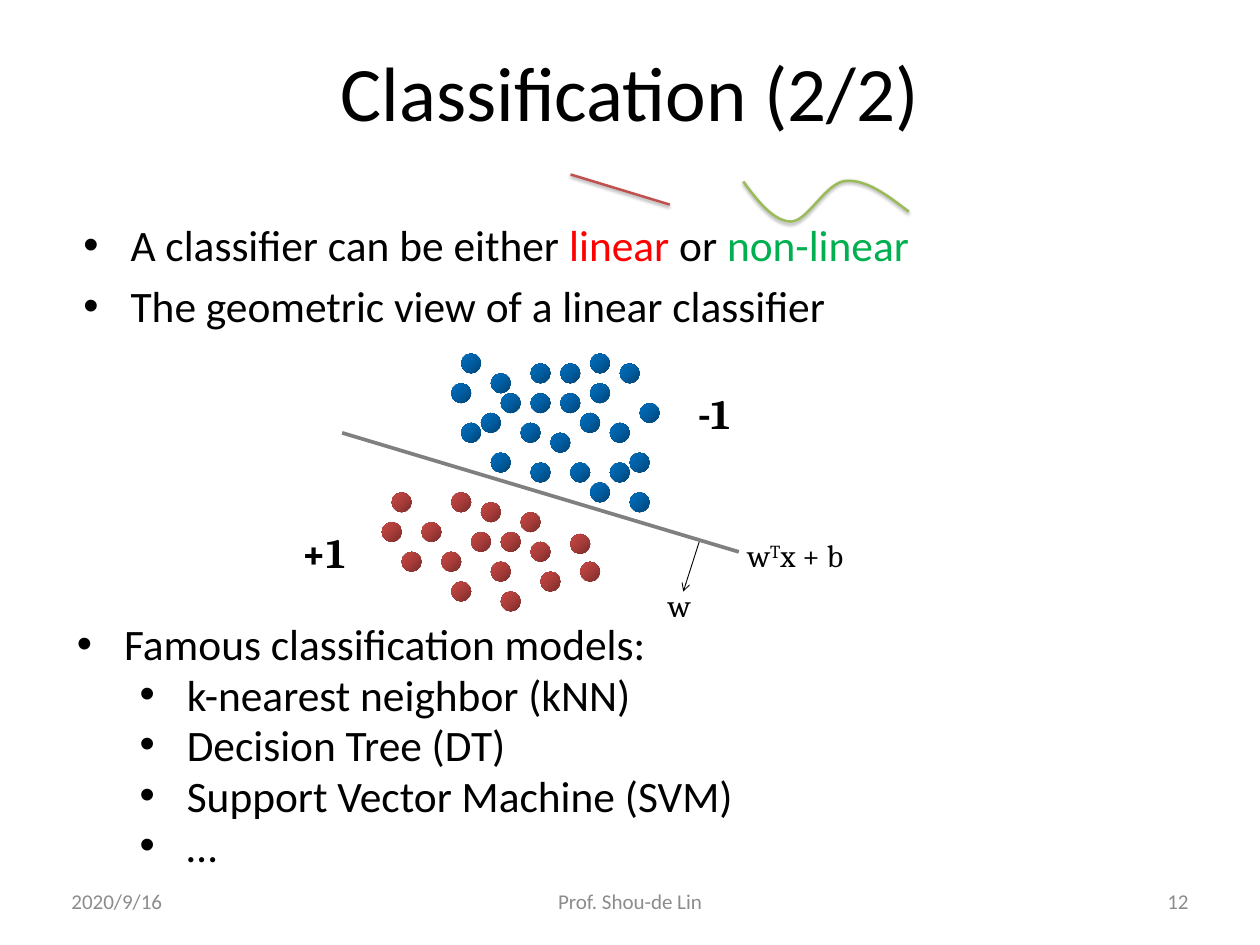
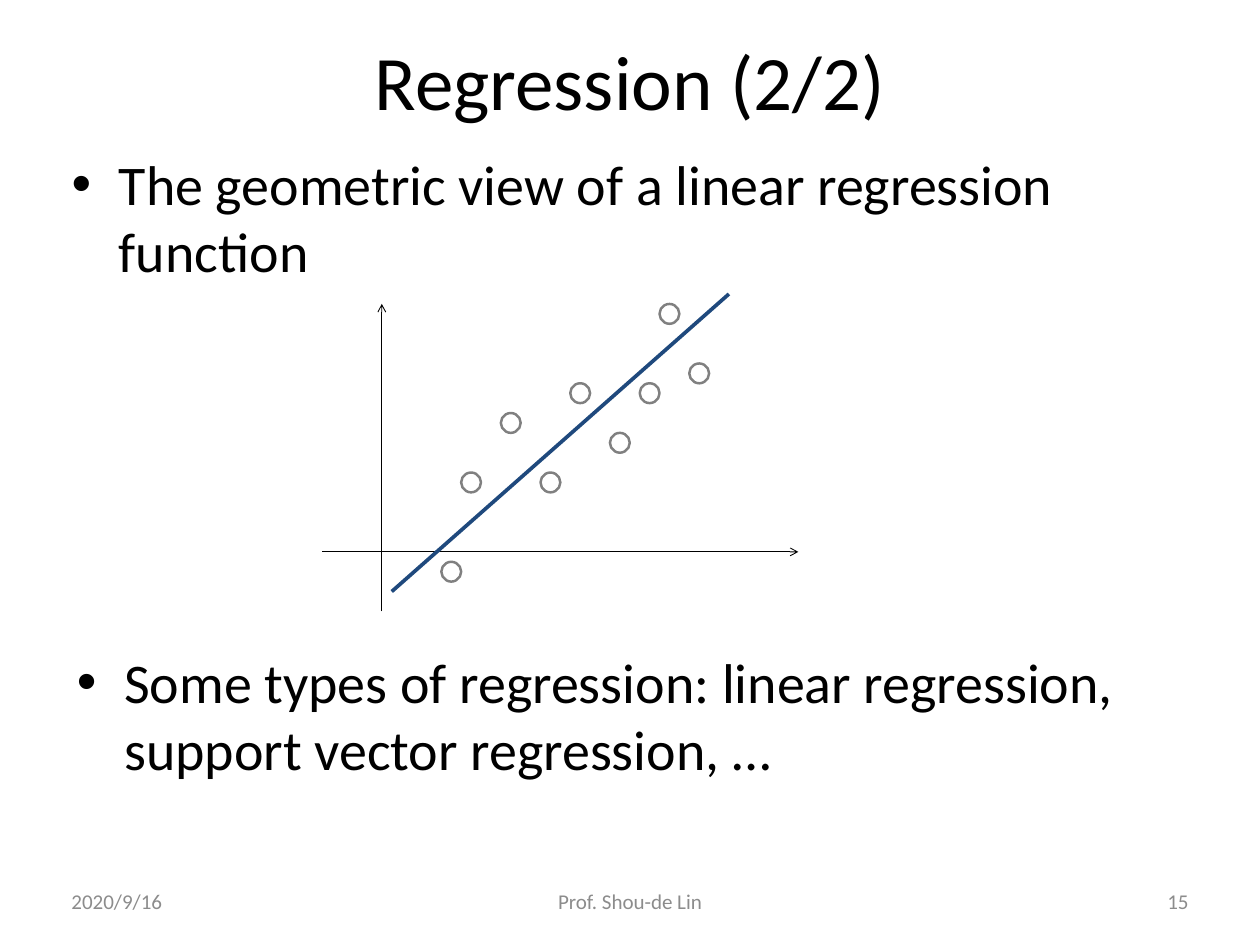
from lxml import etree
from copy import deepcopy
from pptx import Presentation
from pptx.dml.color import RGBColor
from pptx.enum.shapes import MSO_CONNECTOR, MSO_SHAPE
from pptx.enum.text import MSO_ANCHOR, MSO_AUTO_SIZE, PP_ALIGN
from pptx.oxml.ns import qn
from pptx.util import Pt

STRAIGHT, OVAL = MSO_CONNECTOR.STRAIGHT, MSO_SHAPE.OVAL
LEFT, CENTER, RIGHT = PP_ALIGN.LEFT, PP_ALIGN.CENTER, PP_ALIGN.RIGHT
TOP, MIDDLE = MSO_ANCHOR.TOP, MSO_ANCHOR.MIDDLE
NO_FIT = MSO_AUTO_SIZE.NONE

COLORS = {
    "text": "000000", "footer": "8C8C8C", "gray": "808080", "fit": "1F497D",
    "linear": "FF0000", "nonlinear": "00B050",
    "sample_line": "C0504D", "sample_curve": "9BBB59",
}
BLUE_DOT = ("004272", "005EA2", "0070C0")
RED_DOT = ("772B29", "A93D3A", "C94844")
SANS, SERIF = "Calibri", "Cambria"
TWO_CONTENT = 3
CELL = 8.06
PLOT = (310.3, 287.3)
INDENT, SUB_INDENT = 38.4, 89.3
TIGHT = 0.8

NEGATIVE = [
    (8, 0), (21, 0), (15, 1), (18, 1), (24, 1), (11, 2), (7, 3), (21, 3),
    (12, 4), (15, 4), (18, 4), (26, 5), (10, 6), (20, 6), (8, 7), (14, 7),
    (23, 7), (17, 8), (11, 10), (25, 10), (15, 11), (19, 11), (23, 11),
    (21, 13), (25, 14),
]
POSITIVE = [
    (1, 14), (7, 14), (10, 15), (14, 16), (0, 17), (4, 17), (9, 18), (12, 18),
    (19, 18.2), (15, 19), (2, 20), (6, 20), (11, 21), (20, 21), (16, 22),
    (7, 23), (12, 24),
]
SAMPLES = [
    (28, -5), (31, 1), (19, 3), (26, 3), (12, 6), (23, 8), (8, 12), (16, 12),
    (6, 21),
]


def color(name):
    return RGBColor.from_string(COLORS[name])


def style(font, size, name=SANS, ink="text", bold=False):
    font.size = Pt(size)
    font.name = name
    font.bold = bold
    font.color.rgb = color(ink)


def place(shape, box):
    shape.left, shape.top, shape.width, shape.height = map(Pt, box)


def set_effects(shape, shadow=False):
    effects = etree.SubElement(shape.element.spPr, qn("a:effectLst"))
    if shadow:
        outer = etree.SubElement(
            effects, qn("a:outerShdw"), blurRad=str(Pt(3.1)),
            dist=str(Pt(1.6)), dir="5400000", rotWithShape="0")
        black = etree.SubElement(outer, qn("a:srgbClr"), val=COLORS["text"])
        etree.SubElement(black, qn("a:alpha"), val="38000")


def add_line(page, start, end, ink, width, arrow=False, shadow=False):
    line = page.shapes.add_connector(STRAIGHT, *map(Pt, (*start, *end)))
    line.line.color.rgb = color(ink)
    line.line.width = Pt(width)
    if arrow:
        outline = line.element.spPr.find(qn("a:ln"))
        etree.SubElement(outline, qn("a:tailEnd"), type="arrow")
    set_effects(line, shadow)


def add_text(page, box, parts, size, name=SANS, ink="text", bold=False,
             align=LEFT, anchor=TOP):
    label = page.shapes.add_textbox(*map(Pt, box))
    frame = label.text_frame
    frame.word_wrap = True
    frame.vertical_anchor = anchor
    para = frame.paragraphs[0]
    para.alignment = align
    for part in parts:
        para.add_run().text = part
    style(para.font, size, name, ink, bold)
    return label


def add_title(page, text, box):
    title = page.shapes.title
    place(title, box)
    frame = title.text_frame
    frame.auto_size = NO_FIT
    frame.vertical_anchor = MIDDLE
    para = frame.paragraphs[0]
    para.text = text
    para.alignment = CENTER
    style(para.font, 62.6)


def fill_list(holder, box, items, size, spacing=1.0, inset=(7.2, 3.6)):
    place(holder, box)
    frame = holder.text_frame
    frame.auto_size = NO_FIT
    frame.margin_left = frame.margin_right = Pt(inset[0])
    frame.margin_top = frame.margin_bottom = Pt(inset[1])
    for _ in items[1:]:
        frame.add_paragraph()
    nodes = holder.element.iter(qn("a:p"))
    for para, node, (level, parts) in zip(frame.paragraphs, nodes, items):
        para.level = level
        props = node.get_or_add_pPr()
        props.set("marL", str(Pt(SUB_INDENT if level else INDENT)))
        props.set("indent", str(-Pt(INDENT)))
        etree.SubElement(props, qn("a:buChar"), char="•")
        para.line_spacing = spacing
        para.space_before = Pt(round(size * 0.2, 1))
        for text, ink in parts:
            span = para.add_run()
            span.text = text
            if ink != "text":
                span.font.color.rgb = color(ink)
        style(para.font, size)


def add_footer(page, number):
    for left, width, text, align in (
            (51, 239, "2020/9/16", LEFT),
            (350, 324, "Prof. Shou-de Lin", CENTER),
            (734, 239, number, RIGHT)):
        add_text(page, (left, 712, width, 41), [text], 17.1,
                 ink="footer", align=align, anchor=MIDDLE)


def at_cell(origin, cell):
    return tuple(start + CELL * step for start, step in zip(origin, cell))


def add_dots(page, origin, cells, shades=None):
    for cell in cells:
        dot = page.shapes.add_shape(
            OVAL, *map(Pt, (*at_cell(origin, cell), 2 * CELL, 2 * CELL)))
        if shades:
            dot.fill.gradient()
            dot.fill.gradient_angle = 135
            stops = dot.element.spPr.find(".//" + qn("a:gsLst"))
            stops.insert(1, deepcopy(stops[0]))
            for index, stop in enumerate(dot.fill.gradient_stops):
                stop.position = index / 2
                stop.color.rgb = RGBColor.from_string(shades[index])
            dot.line.fill.background()
        else:
            dot.fill.background()
            dot.line.color.rgb = color("gray")
            dot.line.width = Pt(2)
        set_effects(dot)


def add_plot_line(page, origin, start, end, ink, width, arrow=False):
    add_line(page, at_cell(origin, start), at_cell(origin, end), ink, width,
             arrow)


def draw_classifier(page, origin):
    add_dots(page, origin, NEGATIVE, BLUE_DOT)
    add_dots(page, origin, POSITIVE, RED_DOT)
    add_plot_line(page, origin, (-4, 8), (36, 20), "gray", 3)
    add_plot_line(page, origin, (32, 19), (30.4, 24), "text", 0.75, True)
    for cell, text in (((-9, 17), "+1"), ((31, 3), "-1")):
        add_text(page, (*at_cell(origin, cell), 81, 49), [text], 34.1, SERIF,
                 bold=True)
    add_text(page, (*at_cell(origin, (28, 23)), 48, 38), ["w"], 25.6, SERIF)
    formula = add_text(page, (*at_cell(origin, (36, 18)), 210, 38),
                       ["w", "T", "x + b"], 25.6, SERIF)
    raised = list(formula.element.iter(qn("a:r")))[1]
    raised.get_or_add_rPr().set("baseline", "30000")


def draw_regression(page, origin):
    add_plot_line(page, origin, (-6, 20), (42, 20), "text", 0.75, True)
    add_plot_line(page, origin, (0, 26), (0, -5), "text", 0.75, True)
    add_plot_line(page, origin, (1, 24), (35, -6), "fit", 3)
    add_dots(page, origin, SAMPLES)


def curve_points(start, bends, steps=16):
    for first, second, end in bends:
        for step in range(1, steps + 1):
            t = step / steps
            yield tuple(
                (1 - t) ** 3 * a + 3 * (1 - t) ** 2 * t * b
                + 3 * (1 - t) * t ** 2 * c + t ** 3 * d
                for a, b, c, d in zip(start, first, second, end))
        start = end


def draw_boundary_samples(page, origin):
    left, top = origin
    add_line(page, origin, (left + 80.6, top + 24.5), "sample_line", 2,
             shadow=True)
    start = (0, 0)
    bends = [
        ((12, 16.5), (25, 32.5), (39, 32.5)),
        ((52.5, 32), (67, 1), (83, -0.5)),
        ((99.5, -2), (117, 11), (134.5, 24.5)),
    ]
    left, top = left + 140.4, top + 5.8
    points = [(Pt(left + x), Pt(top + y)) for x, y in curve_points(start, bends)]
    builder = page.shapes.build_freeform(Pt(left), Pt(top))
    builder.add_line_segments(points, close=False)
    curve = builder.convert_to_shape()
    curve.fill.background()
    curve.line.color.rgb = color("sample_curve")
    curve.line.width = Pt(2)
    set_effects(curve, shadow=True)


def plain(text, level=0):
    return level, [(text, "text")]


def build_classification(deck):
    page = deck.slides.add_slide(deck.slide_layouts[TWO_CONTENT])
    add_title(page, "Classification (2/2)", (51, 21, 922, 105))
    fill_list(page.placeholders[1], (60.5, 174, 945, 92), [
        (0, [("A classifier can be either ", "text"), ("linear", "linear"),
             (" or ", "text"), ("non-linear", "nonlinear")]),
        plain("The geometric view of a linear classifier"),
    ], 35.3)
    models = ["k-nearest neighbor (kNN)", "Decision Tree (DT)",
              "Support Vector Machine (SVM)", "…"]
    fill_list(page.placeholders[2], (52.5, 505, 922, 221),
              [plain("Famous classification models:")]
              + [plain(model, 1) for model in models],
              35.3, TIGHT, (10, 5))
    draw_classifier(page, PLOT)
    add_footer(page, "12")
    draw_boundary_samples(page, (463.7, 141.8))


def build_regression(deck):
    page = deck.slides.add_slide(deck.slide_layouts[TWO_CONTENT])
    add_title(page, "Regression (2/2)", (51, 21, 922, 87))
    fill_list(page.placeholders[1], (51, 118, 922, 153), [
        plain("The geometric view of a linear regression function")], 45.5)
    fill_list(page.placeholders[2], (52.5, 521, 922, 153), [
        plain("Some types of regression: linear regression, "
              "support vector regression, …")], 45.5, inset=(10, 5))
    draw_regression(page, PLOT)
    add_footer(page, "15")


def main():
    deck = Presentation()
    deck.slide_width, deck.slide_height = Pt(1024), Pt(768)
    build_classification(deck)
    build_regression(deck)
    deck.save("out.pptx")


if __name__ == "__main__":
    main()
